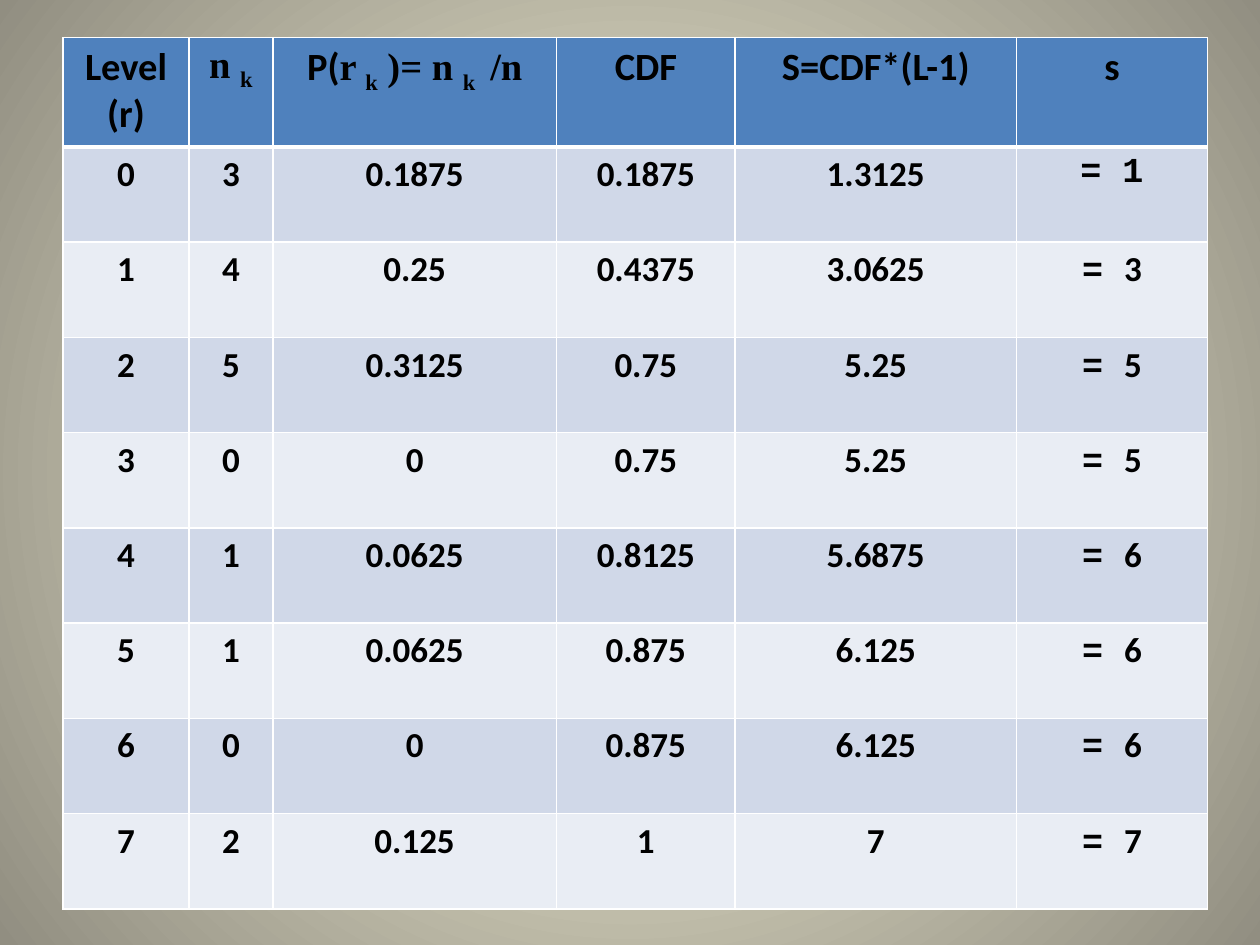
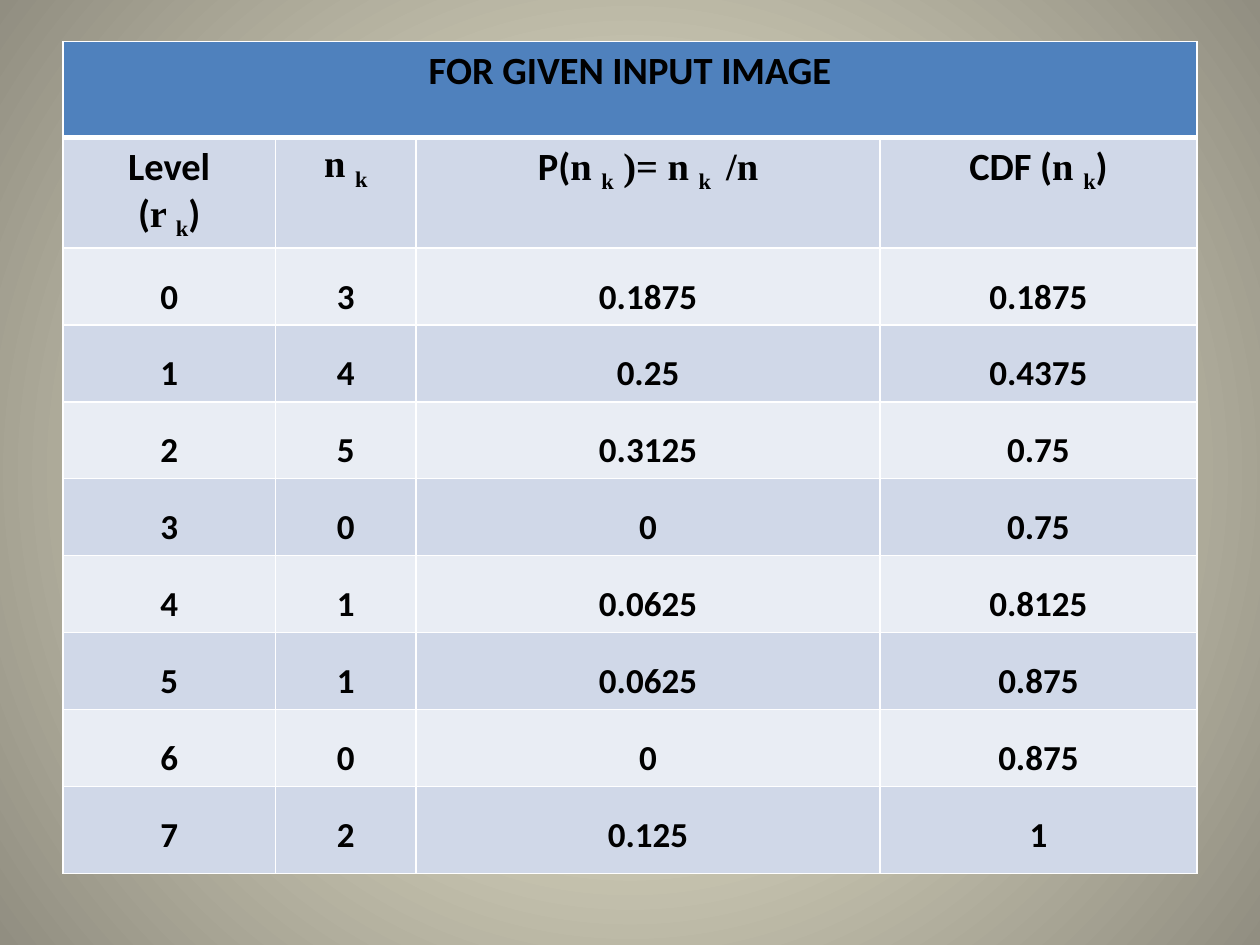
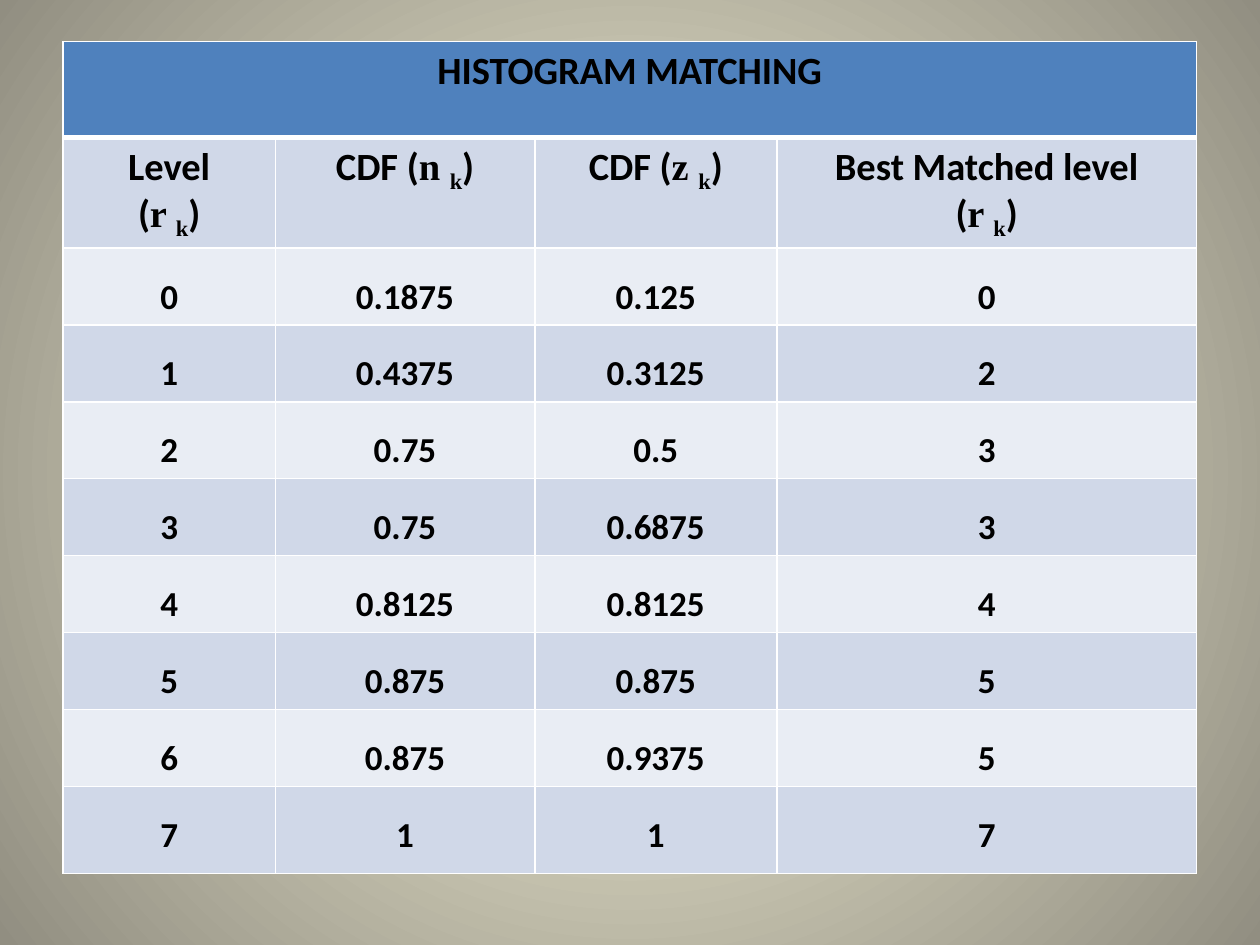
from dataclasses import dataclass

from lxml.etree import fromstring
from pptx import Presentation
from pptx.dml.color import RGBColor
from pptx.enum.text import PP_ALIGN
from pptx.oxml.ns import nsdecls
from pptx.util import Cm, Pt


@dataclass(frozen=True)
class Theme:
    glow: str = "FCF7DD"
    edge: str = "918E81"
    heading: str = "4F81BD"
    bands: tuple = ("D0D8E8", "E9EDF4")
    rule: str = "FFFFFF"
    ink: str = "000000"
    sans: str = "Calibri"
    serif: str = "Times New Roman"
    mono: str = "Courier New"
    heading_size: int = 22
    value_size: int = 20
    thin: int = 1
    thick: int = 3


theme = Theme()


def write_cell(cell, lines, size, spacing):
    for number, line in enumerate(lines):
        frame = cell.text_frame
        para = frame.paragraphs[0] if number == 0 else frame.add_paragraph()
        para.alignment = PP_ALIGN.CENTER
        if spacing:
            para.line_spacing = spacing
        para.font.size = Pt(size)
        para.font.bold = True
        para.font.color.rgb = RGBColor.from_string(theme.ink)
        fonts = {font for text, font, baseline in line}
        if len(fonts) == 1:
            para.font.name = line[0][1]
        for text, font, baseline in line:
            span = para.add_run()
            span.text = text
            if len(fonts) > 1:
                span.font.name = font
            if baseline:
                span.font._element.set("baseline", str(baseline))


def paint_cell(cell, row, color):
    properties = cell._tc.get_or_add_tcPr()
    for side in "LRTB":
        under_heading = (row, side) in ((0, "B"), (1, "T"))
        width = Pt(theme.thick if under_heading else theme.thin)
        properties.append(fromstring(
            f'<a:ln{side} {nsdecls("a")} w="{width}"><a:solidFill>'
            f'<a:srgbClr val="{theme.rule}"/></a:solidFill></a:ln{side}>'))
    cell.fill.solid()
    cell.fill.fore_color.rgb = RGBColor.from_string(color)


deck = Presentation()
deck.slide_width = Cm(25.4)
deck.slide_height = Cm(19.05)

content = deck.slide_master.background._cSld
content.remove(content.bg)
content.insert(0, fromstring(
    f'<p:bg {nsdecls("p", "a")}><p:bgPr><a:gradFill rotWithShape="1"><a:gsLst>'
    f'<a:gs pos="0"><a:srgbClr val="{theme.glow}"/></a:gs>'
    f'<a:gs pos="100000"><a:srgbClr val="{theme.edge}"/></a:gs></a:gsLst>'
    '<a:path path="circle"><a:fillToRect l="50000" t="50000" r="50000" b="50000"/>'
    '</a:path></a:gradFill><a:effectLst/></p:bgPr></p:bg>'))

sub_k = ("k", theme.serif, -25000)
close = (")", theme.sans, 0)
level = [("Level", theme.sans, 0)]
level_k = [("(", theme.sans, 0), ("r ", theme.serif, 0), sub_k, close]
count_k = [("n ", theme.serif, 0), sub_k]
prob_r, prob_n = (
    [("P(", theme.sans, 0), (f"{letter} ", theme.serif, 0), sub_k,
     (" )= n ", theme.serif, 0), ("k ", theme.serif, -25000), (" /n", theme.serif, 0)]
    for letter in "rn")
cdf_n, cdf_z = (
    [("CDF (", theme.sans, 0), (f"{letter} ", theme.serif, 0), sub_k, close]
    for letter in "nz")

levels = "0 1 2 3 4 5 6 7".split()
counts = "3 4 5 0 1 1 0 2".split()
probabilities = "0.1875 0.25 0.3125 0 0.0625 0.0625 0 0.125".split()
input_cdf = "0.1875 0.4375 0.75 0.75 0.8125 0.875 0.875 1".split()
target_cdf = "0.125 0.3125 0.5 0.6875 0.8125 0.875 0.9375 1".split()
scaled = "1.3125 3.0625 5.25 5.25 5.6875 6.125 6.125 7".split()
matched = "0 2 3 3 4 5 5 7".split()
rounded = [
    [("= ", theme.mono, 0), (value, theme.mono if row == 0 else theme.sans, 0)]
    for row, value in enumerate("1 3 5 5 6 6 6 7".split())]

matching_rows = [1.93, 2.08] + [1.5] * 7 + [1.75]
tables = [
    dict(title=None, top=0.76, spacing=None,
         widths=[2.54, 1.69, 5.72, 3.6, 5.67, 3.85], heights=[2.2] + [1.92] * 8,
         headings=[[level, [("(r)", theme.sans, 0)]], [count_k], [prob_r],
                   [[("CDF", theme.sans, 0)]], [[("S=CDF*(L-1)", theme.sans, 0)]],
                   [[("s", theme.sans, 0)]]],
         columns=[levels, counts, probabilities, input_cdf, scaled, rounded]),
    dict(title="FOR GIVEN INPUT IMAGE", top=0.84, spacing=1.5,
         widths=[4.28, 2.84, 9.35, 6.39], heights=matching_rows,
         headings=[[level, level_k], [count_k], [prob_n], [cdf_n]],
         columns=[levels, counts, probabilities, input_cdf]),
    dict(title="HISTOGRAM MATCHING", top=0.84, spacing=1.5,
         widths=[4.28, 5.23, 4.88, 8.46], heights=matching_rows,
         headings=[[level, level_k], [cdf_n], [cdf_z],
                   [[("Best Matched level", theme.sans, 0)], level_k]],
         columns=[levels, input_cdf, target_cdf, matched]),
]

for plan in tables:
    page = deck.slides.add_slide(deck.slide_layouts[6])
    widths, heights = plan["widths"], plan["heights"]
    table = page.shapes.add_table(
        len(heights), len(widths), Cm(1.27), Cm(plan["top"]),
        Cm(sum(widths)), Cm(sum(heights))).table
    for column, width in zip(table.columns, widths):
        column.width = Cm(width)
    for row, height in enumerate(heights):
        table.rows[row].height = Cm(height)
        color = theme.bands[(row - 1) % 2] if row else theme.heading
        for cell in table.rows[row].cells:
            paint_cell(cell, row, color)

    heading_row = 0
    if plan["title"]:
        heading_row = 1
        table.cell(0, 0).merge(table.cell(0, len(widths) - 1))
        title = [[(plan["title"], theme.sans, 0)]]
        write_cell(table.cell(0, 0), title, theme.heading_size, None)
    for column, lines in enumerate(plan["headings"]):
        write_cell(table.cell(heading_row, column), lines, theme.heading_size, None)
    for column, values in enumerate(plan["columns"]):
        for row, value in enumerate(values, heading_row + 1):
            line = [(value, theme.sans, 0)] if isinstance(value, str) else value
            write_cell(table.cell(row, column), [line], theme.value_size, plan["spacing"])

deck.save("out.pptx")
